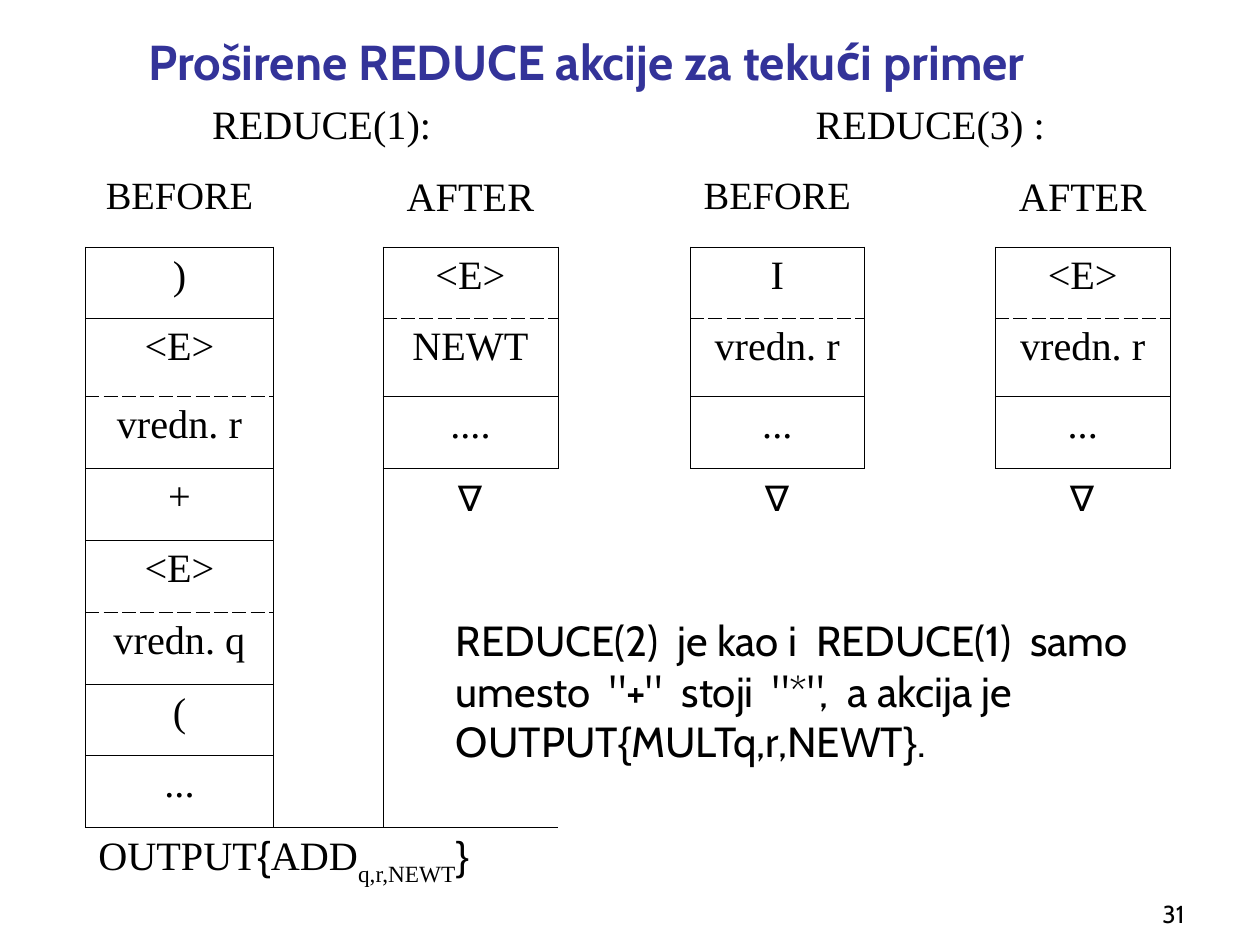
"""Builds the slide on extended REDUCE actions with its parser stack table."""
from dataclasses import dataclass
from lxml import etree
from pptx import Presentation
from pptx.dml.color import RGBColor
from pptx.enum.text import MSO_ANCHOR, PP_ALIGN
from pptx.oxml.ns import qn
from pptx.util import Inches, Pt


@dataclass(frozen=True)
class Theme:
    heading: str = "Cabin"
    stack: str = "Times New Roman"
    symbol: str = "Arial"
    ink: str = "000000"
    accent: str = "333399"
    title_size: int = 28
    body_size: int = 24
    cell_size: int = 23
    before_size: int = 22
    number_size: int = 14
    border: float = 0.45


THEME = Theme()
TITLE = "Proširene REDUCE akcije za tekući primer"
ACTIONS = [(0, "REDUCE(1):"), (4, "REDUCE(3) :")]
STACKS = [
    (0, "BEFORE", [")", "<E>", "vredn. r", "+", "<E>", "vredn. q", "(", "..."], ""),
    (2, "AFTER", ["<E>", "NEWT", "...."], "∇"),
    (4, "BEFORE", ["I", "vredn. r", "..."], "∇"),
    (6, "AFTER", ["<E>", "vredn. r", "..."], "∇"),
]
SYMBOLS_WITH_VALUE = ("<E>", "I")
OUTPUT = [("OUTPUT", THEME.stack), ("{", THEME.symbol), ("ADD", THEME.stack),
          ("q,r,NEWT", THEME.stack, -30), ("}", THEME.symbol)]
NOTE = [('REDUCE(2)  je kao i  REDUCE(1)  samo umesto  "+"  stoji  "*",  a akcija je OUTPUT',
         THEME.heading), ("{", THEME.symbol), ("MULTq,r,NEWT", THEME.heading),
        ("}", THEME.symbol), (".", THEME.heading)]
NUMBER = "31"

COLUMNS = [1.49, 0.87, 1.39, 1.05, 1.38, 1.04, 1.39]
ROWS = [0.57, 0.62, 0.57, 0.62] + [0.57] * 6 + [0.62]
HEADING_ROW, STACK_ROW, OUTPUT_ROW = 1, 2, len(ROWS) - 1
SIDES = {"L": (0, -1, "R"), "R": (0, 1, "L"), "T": (-1, 0, "B"), "B": (1, 0, "T")}
NO_GRID_STYLE = "{2D5ABB26-0587-4C30-8999-92F81FD0307C}"


def write(frame, runs, size, align=PP_ALIGN.LEFT, color=THEME.ink, bold=False):
    frame.word_wrap = True
    paragraph = frame.paragraphs[0]
    paragraph.alignment = align
    paragraph.font.size = Pt(size)
    paragraph.font.bold = bold
    paragraph.font.color.rgb = RGBColor.from_string(color)
    fonts = {font for _, font, *_ in runs}
    if len(fonts) == 1:
        paragraph.font.name = fonts.pop()
    for text, font, *baseline in runs:
        run = paragraph.add_run()
        run.text = text
        if len(runs) > 1:
            run.font.name = font
        if baseline:
            run._r.get_or_add_rPr().set("baseline", str(baseline[0] * 1000))


def write_cell(cell, text, font=THEME.stack, size=THEME.cell_size):
    write(cell.text_frame, [(text, font)], size, PP_ALIGN.CENTER)


def stack_edges():
    edges = {}
    for column, _, symbols, _ in STACKS:
        for index, symbol in enumerate(symbols):
            row = STACK_ROW + index
            sides = {"L": "solid", "R": "solid"}
            if index == 0:
                sides["T"] = "solid"
            if index < len(symbols) - 1:
                sides["B"] = "dash" if symbol in SYMBOLS_WITH_VALUE else "solid"
            for side, dash in sides.items():
                down, across, opposite = SIDES[side]
                edges.setdefault((row, column), {})[side] = dash
                edges.setdefault((row + down, column + across), {})[opposite] = dash
    return edges


def draw_borders(cell, sides):
    properties = cell._tc.get_or_add_tcPr()
    drawn = [side for side in SIDES if side in sides]
    for position, side in enumerate(drawn):
        line = etree.Element(qn(f"a:ln{side}"), w=str(int(Pt(THEME.border))))
        fill = etree.SubElement(line, qn("a:solidFill"))
        etree.SubElement(fill, qn("a:srgbClr"), val=THEME.ink)
        etree.SubElement(line, qn("a:prstDash"), val=sides[side])
        properties.insert(position, line)


def add_stack_table(slide):
    frame = slide.shapes.add_table(len(ROWS), len(COLUMNS), Inches(0.68), Inches(0.77),
                                   Inches(sum(COLUMNS)), Inches(sum(ROWS)))
    table = frame.table
    table.first_row = table.horz_banding = False
    table._tbl.tblPr.find(qn("a:tableStyleId")).text = NO_GRID_STYLE
    for column, width in zip(table.columns, COLUMNS):
        column.width = Inches(width)
    for row, height in zip(table.rows, ROWS):
        row.height = Inches(height)
    for cell in table.iter_cells():
        cell.fill.background()

    for column, action in ACTIONS:
        table.cell(0, column).merge(table.cell(0, column + 2))
        write_cell(table.cell(0, column), action)
    for column, heading, symbols, bottom in STACKS:
        size = THEME.before_size if heading == "BEFORE" else THEME.cell_size
        write_cell(table.cell(HEADING_ROW, column), heading, size=size)
        for row, symbol in enumerate(symbols, STACK_ROW):
            write_cell(table.cell(row, column), symbol)
        if bottom:
            write_cell(table.cell(STACK_ROW + len(symbols), column), bottom, THEME.symbol)
    table.cell(OUTPUT_ROW, 0).merge(table.cell(OUTPUT_ROW, 2))
    write(table.cell(OUTPUT_ROW, 0).text_frame, OUTPUT, THEME.cell_size)

    for (row, column), sides in stack_edges().items():
        if 0 <= column < len(COLUMNS):
            draw_borders(table.cell(row, column), sides)


def add_text(slide, place, anchor, runs, size, align=PP_ALIGN.LEFT):
    frame = slide.shapes.add_textbox(*map(Inches, place)).text_frame
    frame.vertical_anchor = anchor
    write(frame, runs, size, align)


def main():
    presentation = Presentation()
    presentation.slide_width, presentation.slide_height = Inches(10), Inches(7.5)
    slide = presentation.slides.add_slide(presentation.slide_layouts[5])

    title = slide.shapes.title
    title.left, title.top, title.width, title.height = map(Inches, (1.08, 0.18, 8.52, 0.59))
    title.text_frame.vertical_anchor = MSO_ANCHOR.BOTTOM
    write(title.text_frame, [(TITLE, THEME.heading)], THEME.title_size,
          color=THEME.accent, bold=True)

    add_stack_table(slide)
    add_text(slide, (3.52, 4.83, 6.22, 1.3), MSO_ANCHOR.MIDDLE, NOTE, THEME.body_size)
    add_text(slide, (8.42, 6.92, 1.08, 0.5), MSO_ANCHOR.BOTTOM,
             [(NUMBER, THEME.heading)], THEME.number_size, PP_ALIGN.RIGHT)
    presentation.save("out.pptx")


if __name__ == "__main__":
    main()
